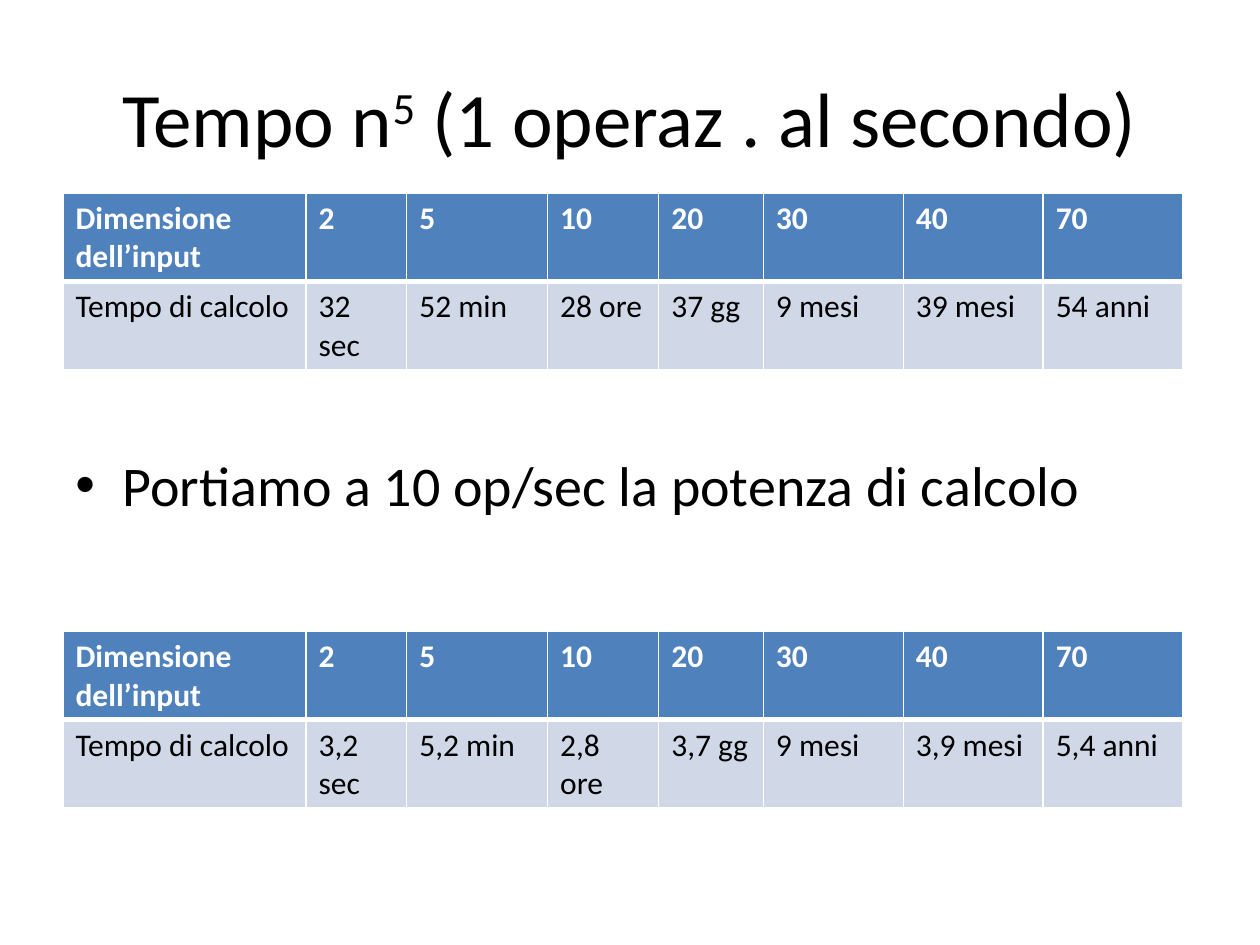
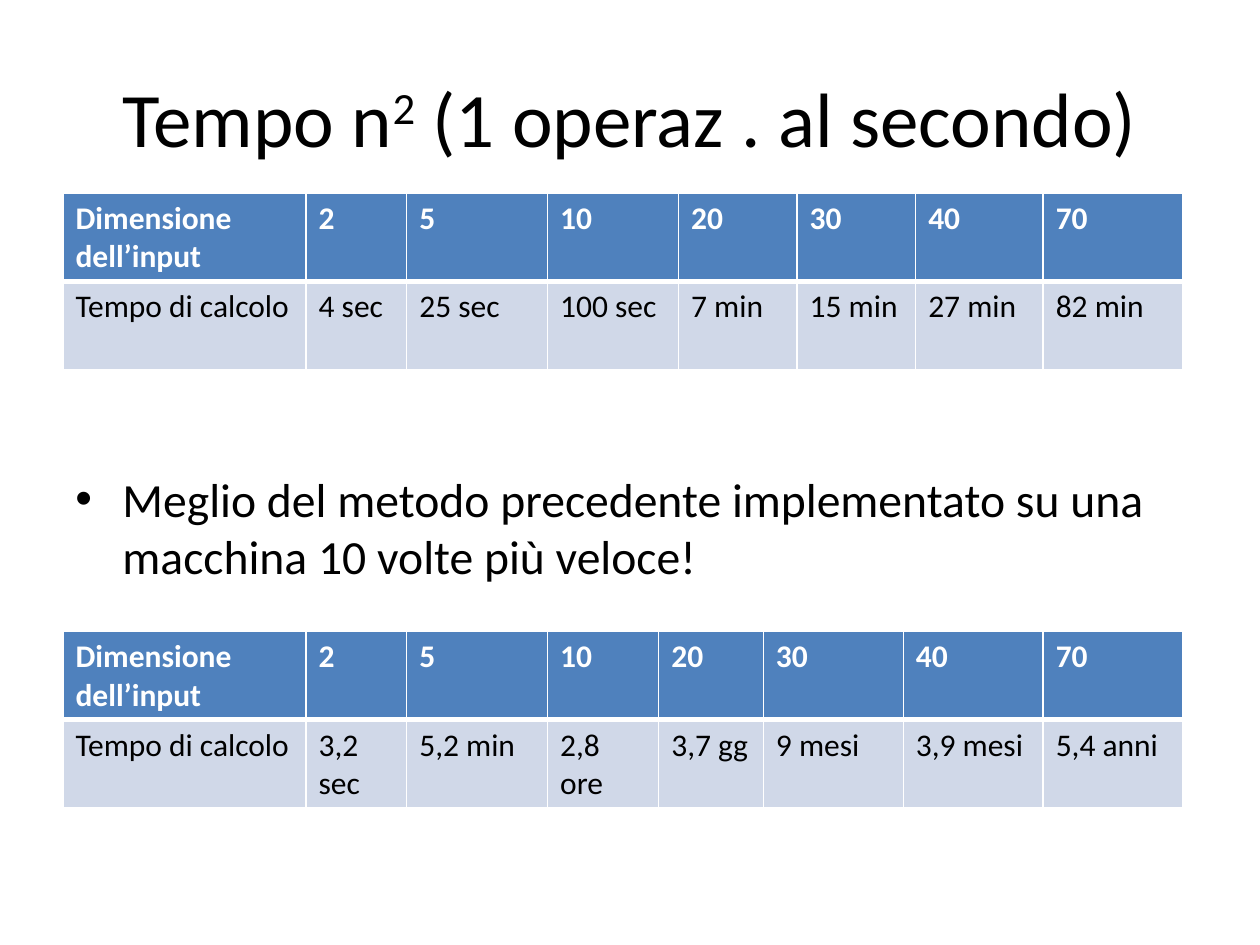
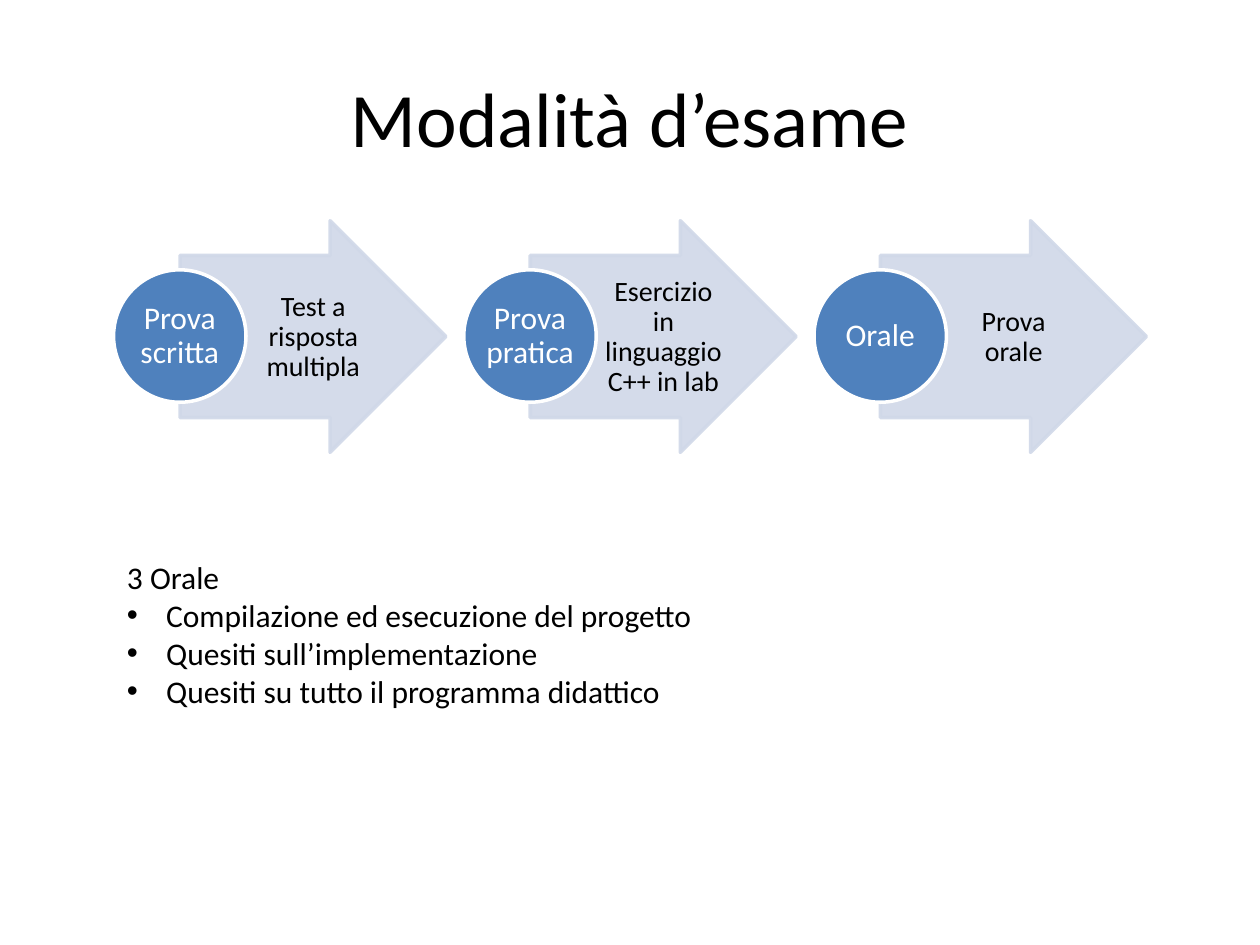
"""Build three slides on computing times and the exam format."""
from dataclasses import dataclass

import pptx
import pptx.dml.color
import pptx.enum.shapes
import pptx.enum.text
import pptx.oxml
import pptx.oxml.ns
import pptx.presentation
import pptx.shapes.autoshape
import pptx.slide
import pptx.text.text
import pptx.util
from lxml import etree
from pptx.util import Cm

BLACK = pptx.dml.color.RGBColor(0x00, 0x00, 0x00)
WHITE = pptx.dml.color.RGBColor(0xFF, 0xFF, 0xFF)
BLUE = pptx.dml.color.RGBColor(0x4F, 0x81, 0xBD)
PALE_BLUE = pptx.dml.color.RGBColor(0xD0, 0xD8, 0xE8)
FONT = "Calibri"
CENTER = pptx.enum.text.PP_ALIGN.CENTER
MIDDLE = pptx.enum.text.MSO_ANCHOR.MIDDLE

TABLE_LEFT = 1.27
UPPER_TABLE_TOP, LOWER_TABLE_TOP = 3.89, 12.73
ROW_HEIGHT = 1.78
SIZES = ("Dimensione dell’input", "2", "5", "10", "20", "30", "40", "70")
TIME_LABEL = "Tempo di calcolo"
WIDE_COLUMNS = (4.9, 2.03, 2.84, 2.24, 2.11, 2.82, 2.82, 2.82)
EVEN_COLUMNS = (4.9, 2.03, 2.84, 2.64, 2.39, 2.39, 2.57, 2.82)
STEP_LEFT, STEP_PITCH = 2.29, 7.06


@dataclass(frozen=True)
class Box:
    """Rectangle in centimetres."""

    left: float
    top: float
    width: float
    height: float

    def lengths(self) -> tuple[Cm, Cm, Cm, Cm]:
        """Return the four lengths that python-pptx expects."""
        return Cm(self.left), Cm(self.top), Cm(self.width), Cm(self.height)


@dataclass(frozen=True)
class TimeTable:
    """Computing times for each input size."""

    top: float
    columns: tuple[float, ...]
    times: tuple[str, ...]


@dataclass(frozen=True)
class Remark:
    """Bulleted sentence between two tables."""

    text: str
    box: Box
    top_inset: float
    size: float
    alignment: pptx.enum.text.PP_ALIGN


@dataclass(frozen=True)
class ComplexitySlide:
    """Slide with the times of a method of a given exponent."""

    exponent: str
    upper_table: TimeTable
    remark: Remark


@dataclass(frozen=True)
class ExamStep:
    """Exam stage and its description."""

    name: str
    description: str


FASTER_TABLE = TimeTable(
    LOWER_TABLE_TOP, WIDE_COLUMNS,
    ("3,2 sec", "5,2 min", "2,8 ore", "3,7 gg", "9 mesi", "3,9 mesi", "5,4 anni"),
)
COMPLEXITY_SLIDES = (
    ComplexitySlide(
        "5",
        TimeTable(
            UPPER_TABLE_TOP, WIDE_COLUMNS,
            ("32 sec", "52 min", "28 ore", "37 gg", "9 mesi", "39 mesi", "54 anni"),
        ),
        Remark(
            "Portiamo a 10 op/sec la potenza di calcolo",
            Box(1.27, 7.92, 22.86, 3.99), 1.17, 32, pptx.enum.text.PP_ALIGN.JUSTIFY,
        ),
    ),
    ComplexitySlide(
        "2",
        TimeTable(
            UPPER_TABLE_TOP, EVEN_COLUMNS,
            ("4 sec", "25 sec", "100 sec", "7 min", "15 min", "27 min", "82 min"),
        ),
        Remark(
            "Meglio del metodo precedente implementato su una macchina 10 volte più veloce!",
            Box(1.27, 7.72, 22.86, 3.56), 1.75, 27.2, pptx.enum.text.PP_ALIGN.LEFT,
        ),
    ),
)
EXAM_STEPS = (
    ExamStep("Prova scritta", "Test a risposta multipla"),
    ExamStep("Prova pratica", "Esercizio in linguaggio C++ in lab"),
    ExamStep("Orale", "Prova orale"),
)
ORAL_TOPICS = (
    "Compilazione ed esecuzione del progetto",
    "Quesiti sull’implementazione",
    "Quesiti su tutto il programma didattico",
)


def add_run(
    paragraph: pptx.text.text._Paragraph,
    text: str,
    size: float,
    color: pptx.dml.color.RGBColor = BLACK,
    bold: bool = False,
) -> pptx.text.text._Run:
    """Append a formatted run."""
    run = paragraph.add_run()
    run.text = text
    run.font.name = FONT
    run.font.size = pptx.util.Pt(size)
    run.font.color.rgb = color
    run.font.bold = bold
    return run


def add_bullet(paragraph: pptx.text.text._Paragraph, indent: float) -> None:
    """Give a paragraph a round bullet with a hanging indent."""
    properties = paragraph._p.get_or_add_pPr()
    properties.set("marL", str(Cm(indent)))
    properties.set("indent", str(-Cm(indent)))
    font = etree.SubElement(properties, pptx.oxml.ns.qn("a:buFont"))
    font.set("typeface", "Arial")
    etree.SubElement(properties, pptx.oxml.ns.qn("a:buChar")).set("char", "•")


def add_text_frame(slide: pptx.slide.Slide, box: Box) -> pptx.text.text.TextFrame:
    """Add a wrapping text box and return its frame."""
    frame = slide.shapes.add_textbox(*box.lengths()).text_frame
    frame.word_wrap = True
    return frame


def add_titled_slide(
    presentation: pptx.presentation.Presentation, text: str, exponent: str = "", rest: str = ""
) -> pptx.slide.Slide:
    """Add a slide whose title may hold a raised exponent."""
    slide = presentation.slides.add_slide(presentation.slide_layouts[5])
    title = slide.shapes.title
    title.left, title.top, title.width, title.height = Box(1.27, 0.76, 22.86, 3.18).lengths()
    title.text_frame.vertical_anchor = MIDDLE
    paragraph = title.text_frame.paragraphs[0]
    paragraph.alignment = CENTER
    add_run(paragraph, text, 44)
    if exponent:
        run = add_run(paragraph, exponent, 44)
        run.font._element.set("baseline", "30000")
        add_run(paragraph, rest, 44)
    return slide


def set_border(cell: pptx.table._Cell, side: str, width: float) -> None:
    """Draw a white border on one side of a cell."""
    properties = cell._tc.get_or_add_tcPr()
    line = etree.SubElement(properties, pptx.oxml.ns.qn(f"a:ln{side}"))
    line.set("w", str(pptx.util.Pt(width)))
    fill = etree.SubElement(line, pptx.oxml.ns.qn("a:solidFill"))
    etree.SubElement(fill, pptx.oxml.ns.qn("a:srgbClr")).set("val", str(WHITE))


def add_time_table(slide: pptx.slide.Slide, time_table: TimeTable) -> None:
    """Add a table with a header of sizes and a row of times."""
    rows = (SIZES, (TIME_LABEL, *time_table.times))
    box = Box(TABLE_LEFT, time_table.top, sum(time_table.columns), ROW_HEIGHT * len(rows))
    table = slide.shapes.add_table(len(rows), len(SIZES), *box.lengths()).table
    for column, width in zip(table.columns, time_table.columns):
        column.width = Cm(width)
    for row_index, texts in enumerate(rows):
        header = row_index == 0
        table.rows[row_index].height = Cm(ROW_HEIGHT)
        for column_index, text in enumerate(texts):
            cell = table.cell(row_index, column_index)
            top, bottom = (1, 3) if header else (3, 1)
            for side, width in (("L", 1), ("R", 1), ("T", top), ("B", bottom)):
                set_border(cell, side, width)
            cell.fill.solid()
            cell.fill.fore_color.rgb = BLUE if header else PALE_BLUE
            paragraph = cell.text_frame.paragraphs[0]
            add_run(paragraph, text, 18, WHITE if header else BLACK, header)


def add_remark(slide: pptx.slide.Slide, remark: Remark) -> None:
    """Add the bulleted sentence between the tables."""
    frame = add_text_frame(slide, remark.box)
    frame.margin_top, frame.margin_bottom = Cm(remark.top_inset), Cm(0)
    paragraph = frame.paragraphs[0]
    paragraph.alignment = remark.alignment
    add_bullet(paragraph, 0.95)
    add_run(paragraph, remark.text, remark.size)


def add_step_shape(
    slide: pptx.slide.Slide,
    kind: pptx.enum.shapes.MSO_SHAPE,
    box: Box,
    fill: pptx.dml.color.RGBColor,
    line: pptx.dml.color.RGBColor,
) -> pptx.shapes.autoshape.Shape:
    """Add a flat shape with a two-point outline."""
    shape = slide.shapes.add_shape(kind, *box.lengths())
    shape.shadow.inherit = False
    shape.fill.solid()
    shape.fill.fore_color.rgb = fill
    shape.line.color.rgb = line
    shape.line.width = pptx.util.Pt(2)
    return shape


def write_step_text(
    frame: pptx.text.text.TextFrame, text: str, size: float, color: pptx.dml.color.RGBColor
) -> None:
    """Write centred text with tight margins."""
    frame.word_wrap = True
    frame.vertical_anchor = MIDDLE
    frame.margin_left = frame.margin_right = frame.margin_top = frame.margin_bottom = Cm(0.03)
    paragraph = frame.paragraphs[0]
    paragraph.alignment = CENTER
    paragraph.line_spacing = 0.9
    add_run(paragraph, text, size, color)


def add_exam_step(slide: pptx.slide.Slide, step: ExamStep, left: float) -> None:
    """Add an arrow, its description and the circle naming the stage."""
    shapes = pptx.enum.shapes.MSO_SHAPE
    arrow_box = Box(left + 1.34, 4.45, 5.36, 4.67)
    arrow = add_step_shape(slide, shapes.RIGHT_ARROW, arrow_box, PALE_BLUE, PALE_BLUE)
    arrow.adjustments[0], arrow.adjustments[1] = 0.7, 0.5
    for color in arrow._element.spPr.iter(pptx.oxml.ns.qn("a:srgbClr")):
        etree.SubElement(color, pptx.oxml.ns.qn("a:alpha")).set("val", "90000")
    frame = add_text_frame(slide, Box(left + 2.69, 5.16, 2.62, 3.28))
    write_step_text(frame, step.description, 16, BLACK)
    frame.margin_left, frame.margin_right = Cm(0.1), Cm(0.05)
    circle = add_step_shape(slide, shapes.OVAL, Box(left, 5.44, 2.67, 2.67), BLUE, WHITE)
    write_step_text(circle.text_frame, step.name, 18, WHITE)


def add_oral_topics(slide: pptx.slide.Slide) -> None:
    """Add the list of what the oral exam covers."""
    frame = add_text_frame(slide, Box(2.31, 11.13, 21.01, 3.33))
    add_run(frame.paragraphs[0], "3 Orale", 18)
    for topic in ORAL_TOPICS:
        paragraph = frame.add_paragraph()
        add_bullet(paragraph, 0.79)
        add_run(paragraph, topic, 18)


def main() -> None:
    """Build and save the presentation."""
    presentation = pptx.Presentation()
    presentation.slide_width, presentation.slide_height = Cm(25.4), Cm(19.05)
    for content in COMPLEXITY_SLIDES:
        slide = add_titled_slide(
            presentation, "Tempo n", content.exponent, " (1 operaz . al secondo)"
        )
        add_remark(slide, content.remark)
        add_time_table(slide, content.upper_table)
        add_time_table(slide, FASTER_TABLE)
    exam_slide = add_titled_slide(presentation, "Modalità d’esame")
    for index, step in enumerate(EXAM_STEPS):
        add_exam_step(exam_slide, step, STEP_LEFT + index * STEP_PITCH)
    add_oral_topics(exam_slide)
    presentation.save("out.pptx")


if __name__ == "__main__":
    main()
